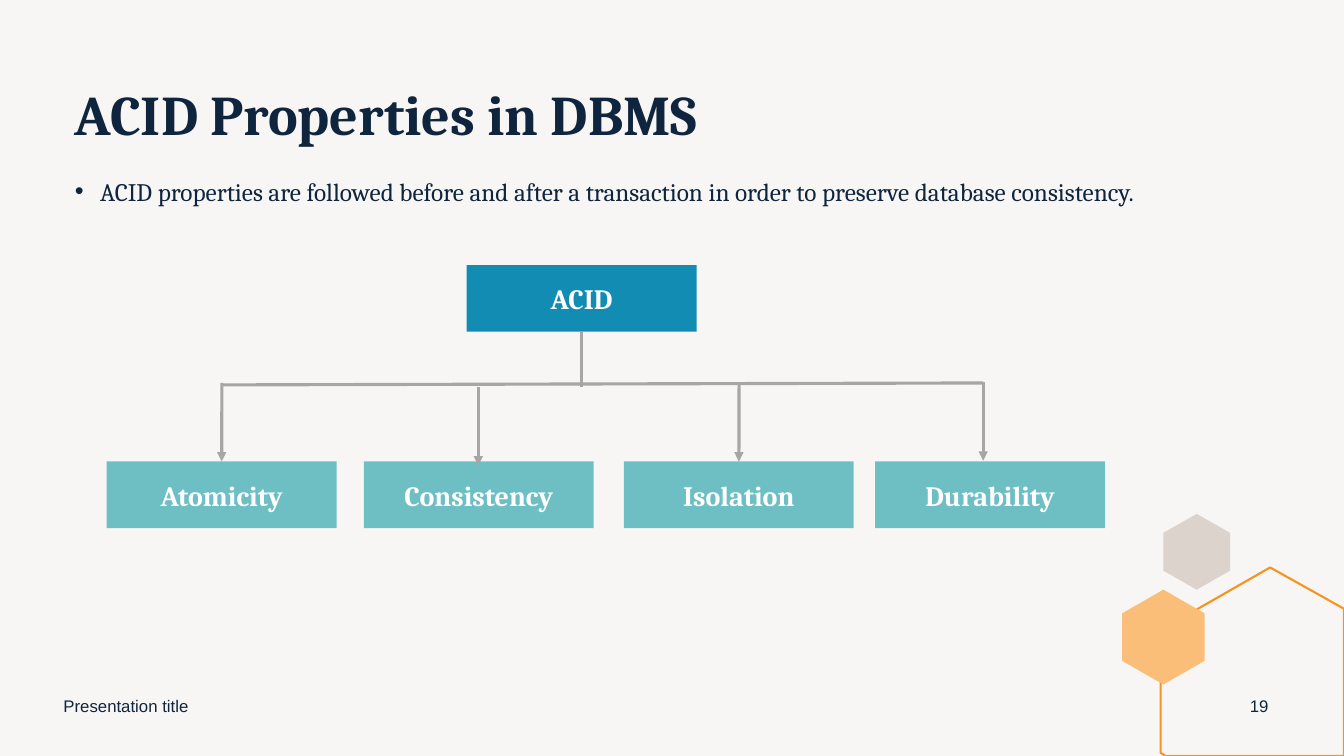
from pptx import Presentation
from pptx.dml.color import RGBColor
from pptx.enum.shapes import MSO_CONNECTOR, MSO_SHAPE
from pptx.enum.text import MSO_ANCHOR, MSO_AUTO_SIZE, PP_ALIGN
from pptx.oxml.ns import qn
from pptx.util import Cm, Pt
from lxml.etree import SubElement

TITLE = "ACID Properties in DBMS"
BODY = ("ACID properties are followed before and after a transaction "
        "in order to preserve database consistency.")
FOOTER, PAGE = "Presentation title", "19"
NAVY, GREY, WHITE = "0F253E", "A6A6A6", "FFFFFF"
BLUE, TEAL = "128CB2", "6EBFC3"
SAND, ORANGE, PEACH, PAPER = "DCD3CC", "F79320", "FABE79", "F8F6F5"

# Lengths in cm
BOX_W, BOX_H = 5.79, 1.68
ROOT = ("ACID", 11.76, 6.68)
ROW_TOP = 11.63
# name, box left, arrow x, arrow top, arrow tip (None: joined to the box)
PROPERTIES = [
    ("Atomicity", 2.69, 5.59, 9.65, None),
    ("Consistency", 9.17, 12.05, 9.75, 11.73),
    ("Isolation", 15.72, 18.62, 9.63, None),
    ("Durability", 22.05, 24.77, 9.63, 11.61),
]
BAR = (5.59, 9.7, 24.77, 9.65)
STEM_END = 9.75
HOUSE = [(32, 14.3), (33.86, 15.34), (33.86, 19.05),
         (29.36, 19.05), (29.24, 18.97), (29.24, 15.88)]


def rgb(value):
    return RGBColor.from_string(value)


def put_text(s, text, size, font="Cambria", color=NAVY, bold=False,
             align=PP_ALIGN.LEFT, anchor=MSO_ANCHOR.MIDDLE):
    tf = s.text_frame
    tf.word_wrap = True
    tf.auto_size = MSO_AUTO_SIZE.NONE
    tf.vertical_anchor = anchor
    p = tf.paragraphs[0]
    p.alignment = align
    r = p.add_run()
    r.text = text
    r.font.name, r.font.size, r.font.bold = font, Pt(size), bold
    r.font.color.rgb = rgb(color)
    return p


def place(s, left, top, width, height):
    s.left, s.top, s.width, s.height = map(Cm, (left, top, width, height))
    return s


def add_outline(shapes, points, fill=None, line=None):
    builder = shapes.build_freeform(*map(Cm, points[0]))
    builder.add_line_segments([(Cm(x), Cm(y)) for x, y in points[1:]])
    s = builder.convert_to_shape()
    s.shadow.inherit = False
    if fill:
        s.fill.solid()
        s.fill.fore_color.rgb = rgb(fill)
    else:
        s.fill.background()
    if line:
        s.line.color.rgb = rgb(line)
        s.line.width = Pt(1.5)
    else:
        s.line.fill.background()


def hexagon(left, top, width, height):
    mid, right = left + width / 2, left + width
    upper, lower = top + height / 4, top + height * 3 / 4
    return [(mid, top), (right, upper), (right, lower),
            (mid, top + height), (left, lower), (left, upper)]


def add_box(shapes, name, left, top, fill):
    s = shapes.add_shape(MSO_SHAPE.RECTANGLE, *map(Cm, (left, top, BOX_W, BOX_H)))
    s.shadow.inherit = False
    s.fill.solid()
    s.fill.fore_color.rgb = rgb(fill)
    s.line.fill.background()
    put_text(s, name, 20, color=WHITE, bold=True, align=PP_ALIGN.CENTER)
    return s


def add_line(shapes, x1, y1, x2, y2, arrow=False):
    c = shapes.add_connector(MSO_CONNECTOR.STRAIGHT, *map(Cm, (x1, y1, x2, y2)))
    c.line.color.rgb = rgb(GREY)
    c.line.width = Pt(2.25)
    if arrow:
        SubElement(c.line._get_or_add_ln(), qn("a:tailEnd"), type="triangle")
    SubElement(c._element.spPr, qn("a:effectLst"))
    return c


def main():
    prs = Presentation()
    prs.slide_width, prs.slide_height = Cm(33.86), Cm(19.05)
    slide = prs.slides.add_slide(prs.slide_layouts[1])
    shapes = slide.shapes
    slide.background.fill.solid()
    slide.background.fill.fore_color.rgb = rgb(PAPER)

    add_outline(shapes, hexagon(29.31, 12.95, 1.68, 1.91), fill=SAND)
    add_outline(shapes, HOUSE, line=ORANGE)
    add_outline(shapes, hexagon(28.27, 14.86, 2.08, 2.39), fill=PEACH)

    title = place(shapes.title, 1.63, 2.01, 30.25, 1.91)
    put_text(title, TITLE, 40, bold=True).line_spacing = 0.9

    body = place(slide.placeholders[1], 1.63, 4.19, 30.25, 12.85)
    p = put_text(body, BODY, 18, anchor=MSO_ANCHOR.TOP)
    p.line_spacing, p.space_before = Pt(25), Pt(10)
    pPr = p._p.get_or_add_pPr()
    pPr.set("marL", str(Cm(0.64)))
    pPr.set("indent", str(-Cm(0.64)))
    SubElement(pPr, qn("a:buFont"), typeface="Arial")
    SubElement(pPr, qn("a:buChar"), char="•")

    for text, left, width, align in [(FOOTER, 1.35, 11.43, PP_ALIGN.LEFT),
                                     (PAGE, 31.09, 1.27, PP_ALIGN.CENTER)]:
        s = shapes.add_textbox(*map(Cm, (left, 17.27, width, 1.02)))
        put_text(s, text, 12, font="Arial", align=align)

    name, left, top = ROOT
    root = add_box(shapes, name, left, top, BLUE)
    boxes = [add_box(shapes, name, left, ROW_TOP, TEAL)
             for name, left, *_ in PROPERTIES]

    add_line(shapes, *BAR)
    x = left + BOX_W / 2
    add_line(shapes, x, top + BOX_H, x, STEM_END).begin_connect(root, 2)
    for box, (_, _, x, start, tip) in zip(boxes, PROPERTIES):
        arrow = add_line(shapes, x, start, x, tip or ROW_TOP, arrow=True)
        if tip is None:
            arrow.end_connect(box, 0)

    prs.save("out.pptx")


if __name__ == "__main__":
    main()
